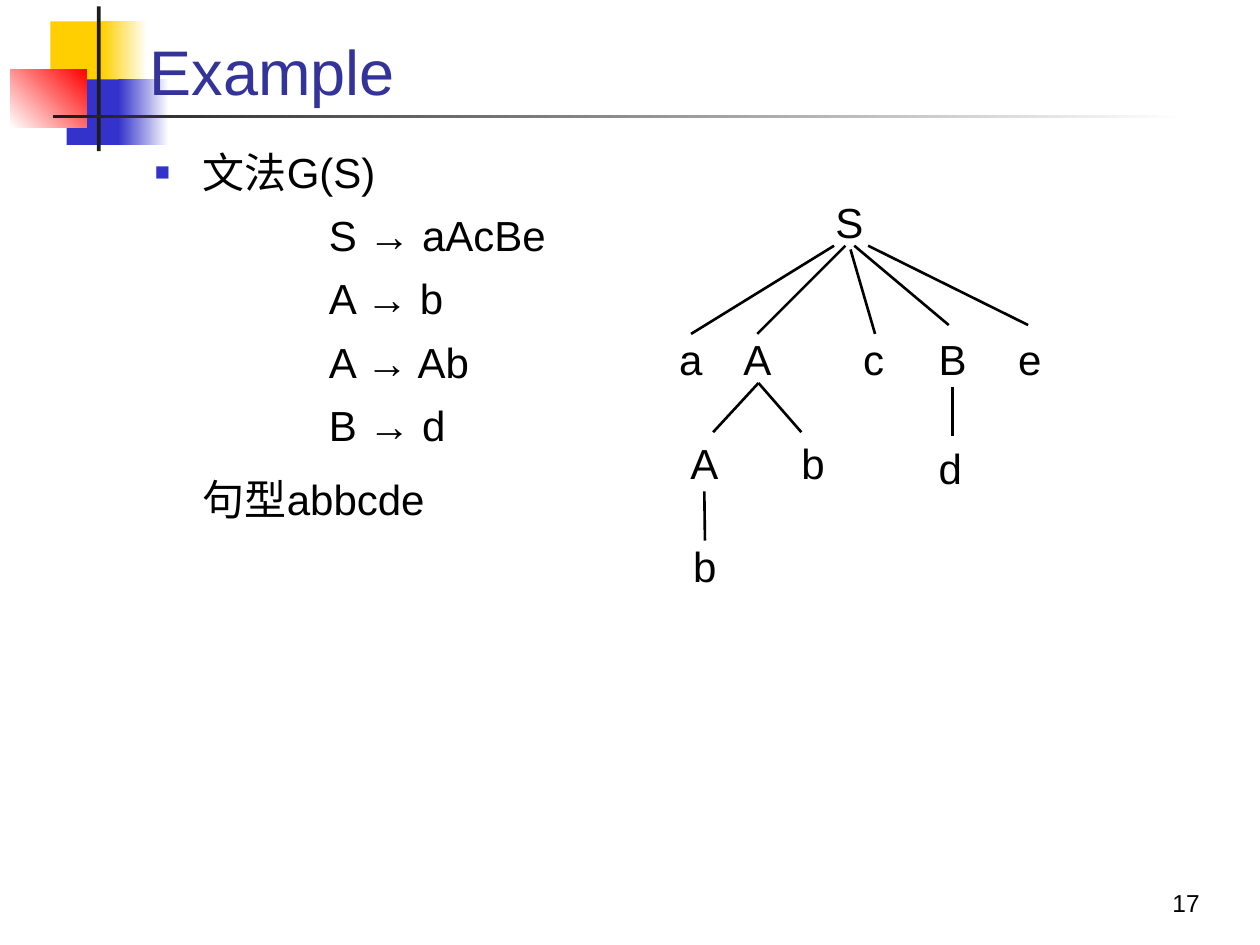
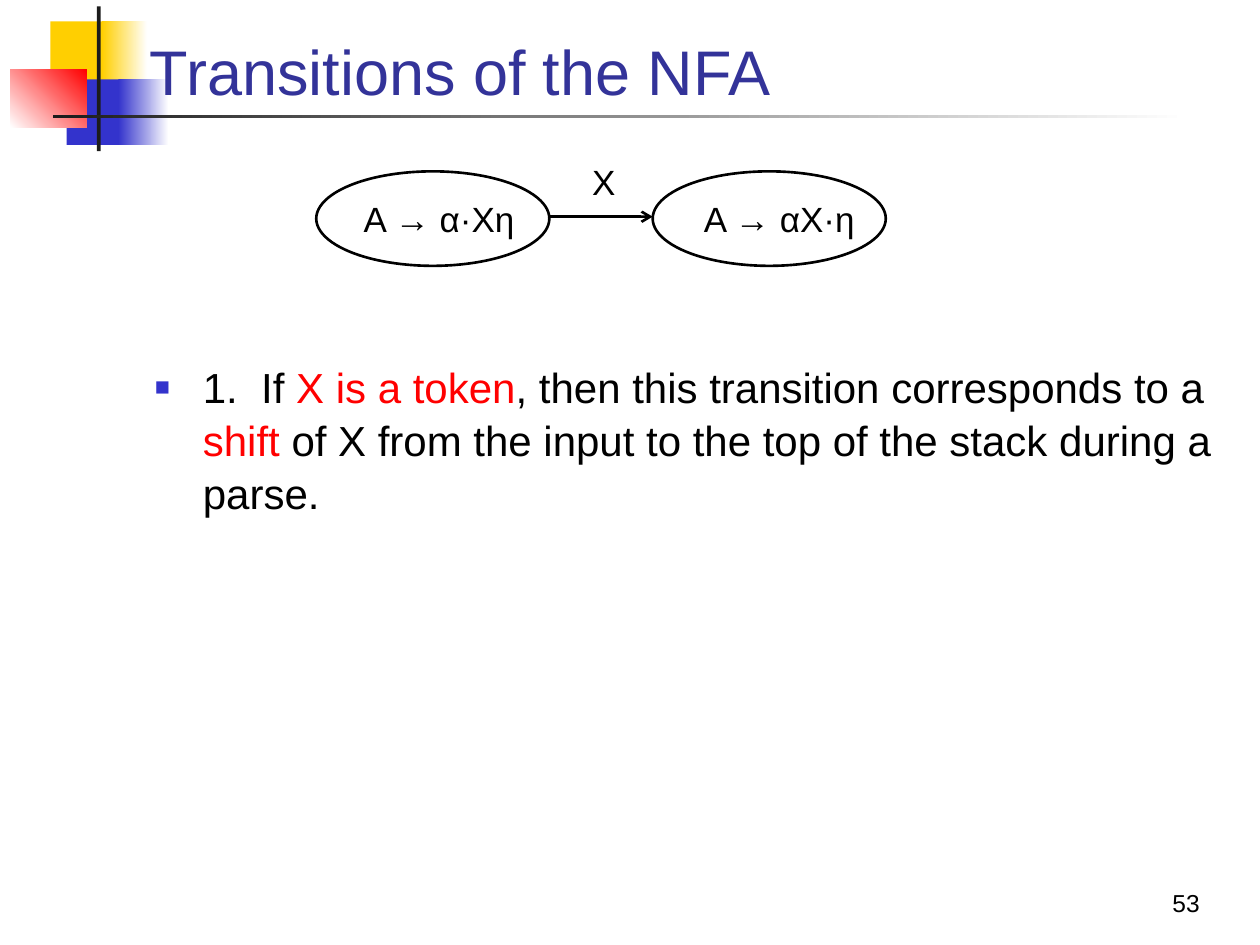
from lxml.etree import SubElement
from pptx import Presentation
from pptx.dml.color import RGBColor
from pptx.enum.shapes import MSO_CONNECTOR as Connector, MSO_SHAPE as Preset
from pptx.enum.text import MSO_ANCHOR as Anchor, MSO_AUTO_SIZE as AutoSize, PP_ALIGN as Align
from pptx.oxml.ns import qn
from pptx.util import Emu, Pt

PX = 9144  # 100 px to the inch
FONT = "Arial"
COLORS = {
    "yellow": "FFCF01",
    "blue": "3333CC",
    "red": "FF0000",
    "rule": "1C1C1C",
    "title": "333399",
    "text": "000000",
    "white": "FFFFFF",
}
TITLE_BOX = (109, 23, 867, 68)
BODY_BOX = (113, 109, 864, 578)
NUMBER_BOX = (754, 683, 208, 50)
INDENT = 38


def px(*lengths):
    return [Emu(length * PX) for length in lengths]


def color(name):
    return RGBColor.from_string(COLORS[name])


def place(shape, box):
    shape.left, shape.top, shape.width, shape.height = px(*box)


def format_runs(paragraph, size, color_name="text"):
    for run in paragraph.runs:
        run.font.name, run.font.size = FONT, Pt(size)
        run.font.color.rgb = color(color_name)


def add_shape(shapes, preset, box, fill=None, line=None):
    shape = shapes.add_shape(preset, *px(*box))
    shape.shadow.inherit = False
    if fill:
        shape.fill.solid()
        shape.fill.fore_color.rgb = color(fill)
    else:
        shape.fill.background()
    if line:
        shape.line.color.rgb = color(line)
        shape.line.width = Pt(1.5)
    else:
        shape.line.fill.background()
    return shape


def fill_gradient(shape, start, end, angle):
    shape.fill.gradient()
    shape.fill.gradient_angle = angle
    for stop, name in zip(shape.fill.gradient_stops, (start, end)):
        stop.color.rgb = color(name)


def add_line(shapes, start, end, arrow=False):
    line = shapes.add_connector(Connector.STRAIGHT, *px(*start, *end))
    line.line.color.rgb = color("text")
    line.line.width = Pt(1.5)
    if arrow:
        SubElement(line.line._get_or_add_ln(), qn("a:tailEnd"), type="arrow")
    SubElement(line._element.spPr, qn("a:effectLst"))
    return line


def add_label(shapes, box, text, size, align, inset=None):
    """Add one line of text that grows with its content."""
    label = shapes.add_textbox(*px(*box))
    frame = label.text_frame
    frame.text = text
    frame.word_wrap = False
    frame.auto_size = AutoSize.SHAPE_TO_FIT_TEXT
    if inset is not None:
        frame.margin_left = frame.margin_right = inset
        frame.margin_top = frame.margin_bottom = inset
    frame.paragraphs[0].alignment = align
    format_runs(frame.paragraphs[0], size)
    return label


def add_master_band(presentation, slide):
    """Build the band on a slide, then move it to the master, behind its placeholders."""
    pieces = [
        ((40, 17, 48, 52), "yellow", None),
        ((81, 17, 36, 52), "yellow", ("yellow", "white", 0)),
        ((53, 63, 46, 52), "blue", None),
        ((94, 63, 40, 52), "blue", ("blue", "white", 0)),
        ((8, 55, 61, 46), "red", ("white", "red", 45)),
        ((77, 5, 3, 115), "rule", None),
        ((42, 91, 900, 3), "rule", ("rule", "white", 0)),
    ]
    master_tree = presentation.slide_master.element.cSld.spTree
    for position, (box, fill, gradient) in enumerate(pieces, start=2):
        piece = add_shape(slide.shapes, Preset.RECTANGLE, box, fill)
        if gradient:
            fill_gradient(piece, *gradient)
        master_tree.insert(position, piece._element)


def set_title(slide, text):
    title = slide.shapes.title
    place(title, TITLE_BOX)
    frame = title.text_frame
    frame.text = text
    frame.vertical_anchor = Anchor.BOTTOM
    frame.auto_size = AutoSize.NONE
    paragraph = frame.paragraphs[0]
    paragraph.alignment = Align.LEFT
    paragraph.line_spacing = 0.85
    format_runs(paragraph, 36, "title")


def add_slide_number(slide, number):
    frame = slide.shapes.add_textbox(*px(*NUMBER_BOX)).text_frame
    frame.word_wrap = True
    frame.vertical_anchor = Anchor.BOTTOM
    frame.text = str(number)
    frame.paragraphs[0].alignment = Align.RIGHT
    format_runs(frame.paragraphs[0], 14)


def format_item(paragraph, margin, bullet, space_before):
    properties = paragraph._p.get_or_add_pPr()
    properties.set("marL", str(margin * PX))
    properties.set("indent", str(-INDENT * PX if bullet else 0))
    if bullet:
        bullet_color = SubElement(properties, qn("a:buClr"))
        SubElement(bullet_color, qn("a:srgbClr"), val=COLORS["blue"])
        SubElement(properties, qn("a:buSzPct"), val="60000")
        SubElement(properties, qn("a:buFont"), typeface=FONT)
        SubElement(properties, qn("a:buChar"), char="■")
    else:
        SubElement(properties, qn("a:buNone"))
    paragraph.line_spacing = 1.05
    paragraph.space_before = Pt(space_before)
    format_runs(paragraph, 24)


def get_body(slide, box):
    body = slide.placeholders[1]
    place(body, box)
    body.text_frame.auto_size = AutoSize.NONE
    return body.text_frame


def fill_grammar(slide, box):
    productions = ["S → aAcBe", "A → b", "A → Ab", "B → d"]
    frame = get_body(slide, box)
    frame.text = "\n".join(["文法G(S)", *productions, "句型abbcde"])
    heading, *rules, sentence = frame.paragraphs
    format_item(heading, INDENT, True, 0)
    for rule in rules:
        format_item(rule, INDENT + 100, False, 6)
    format_item(sentence, INDENT, False, 12)


def add_parse_tree(slide, left, top):
    nodes = {
        "S": (124, 0), "a": (0, 109), "A": (51, 109), "c": (146, 109),
        "B": (206, 109), "e": (269, 109), "A left": (9, 191),
        "b right": (97, 191), "d": (206, 195), "b leaf": (11, 273),
    }
    edges = [
        ("a", (123, 39), (11, 109)),
        ("A", (132, 39), (66, 109)),
        ("c", (136, 42), (152, 109)),
        ("B", (139, 39), (214, 102)),
        ("e", (150, 39), (277, 102)),
        ("d", (217, 151), (217, 190)),
        ("b right", (63, 148), (97, 187)),
        ("A left", (63, 148), (27, 187)),
        ("b leaf", (20, 234), (20, 273)),
    ]
    shapes = slide.shapes.add_group_shape().shapes
    labels = {}
    for name, (x, y) in nodes.items():
        width = 22 if name[0].isupper() else 19
        box = (left + x, top + y, width, 40)
        labels[name] = add_label(shapes, box, name[0], 24, Align.JUSTIFY, inset=0)
    for child, start, end in edges:
        line = add_line(shapes, *((left + x, top + y) for x, y in (start, end)))
        if end[1] == nodes[child][1]:
            line.end_connect(labels[child], 0)


def add_transition(slide, left, top):
    """Draw two item states joined by an arrow marked X."""
    state_width, state_height, pitch = 185, 75, 267
    group = slide.shapes.add_group_shape()
    add_line(group.shapes, (left + state_width, top + 36), (left + pitch, top + 36), arrow=True)
    symbol = add_shape(group.shapes, Preset.RECTANGLE, (left + 219, top - 11, 15, 38), "white", "white")
    frame = symbol.text_frame
    frame.margin_left = frame.margin_right = frame.margin_top = frame.margin_bottom = 0
    frame.vertical_anchor = Anchor.MIDDLE
    frame.text = "X"
    frame.paragraphs[0].alignment = Align.CENTER
    format_runs(frame.paragraphs[0], 20)
    for x, item in ((26, "A → α·Xη"), (296, "A → αX·η")):
        add_label(slide.shapes, (left + x, top + 16, 143, 44), item, 20, Align.CENTER)
    for x in (0, pitch):
        add_shape(slide.shapes, Preset.OVAL, (left + x, top, state_width, state_height), line="text")


def fill_shift_rule(slide, box):
    pieces = [
        ("1.  If ", "text"),
        ("X is a token", "red"),
        (", then this transition corresponds to a ", "text"),
        ("shift", "red"),
        (" of X from the input to the top of the stack during a parse.", "text"),
    ]
    paragraph = get_body(slide, box).paragraphs[0]
    for text, _ in pieces:
        paragraph.add_run().text = text
    format_item(paragraph, INDENT, True, 0)
    for run, (_, name) in zip(paragraph.runs, pieces):
        run.font.color.rgb = color(name)


def add_slide(presentation, title, number):
    slide = presentation.slides.add_slide(presentation.slide_layouts[1])
    set_title(slide, title)
    add_slide_number(slide, number)
    return slide


def main():
    presentation = Presentation()
    presentation.slide_width, presentation.slide_height = px(1000, 750)

    example = add_slide(presentation, "Example", 17)
    add_master_band(presentation, example)
    fill_grammar(example, BODY_BOX)
    add_parse_tree(example, 539, 156)

    transitions = add_slide(presentation, "Transitions of the NFA", 53)
    left, top, width, height = BODY_BOX
    drop = 171
    fill_shift_rule(transitions, (left, top + drop, width, height - drop))
    add_transition(transitions, 251, 136)

    presentation.save("out.pptx")


if __name__ == "__main__":
    main()
